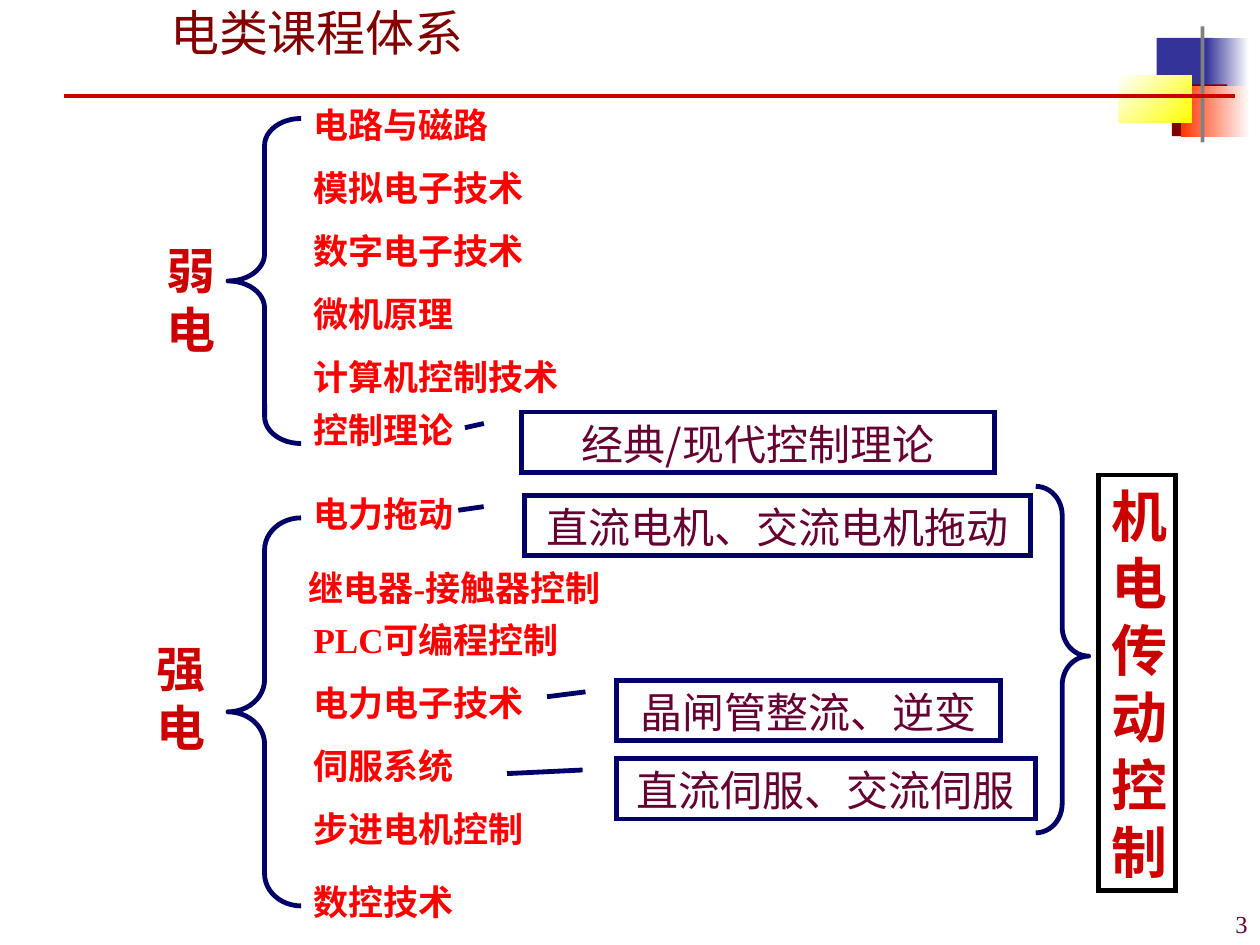
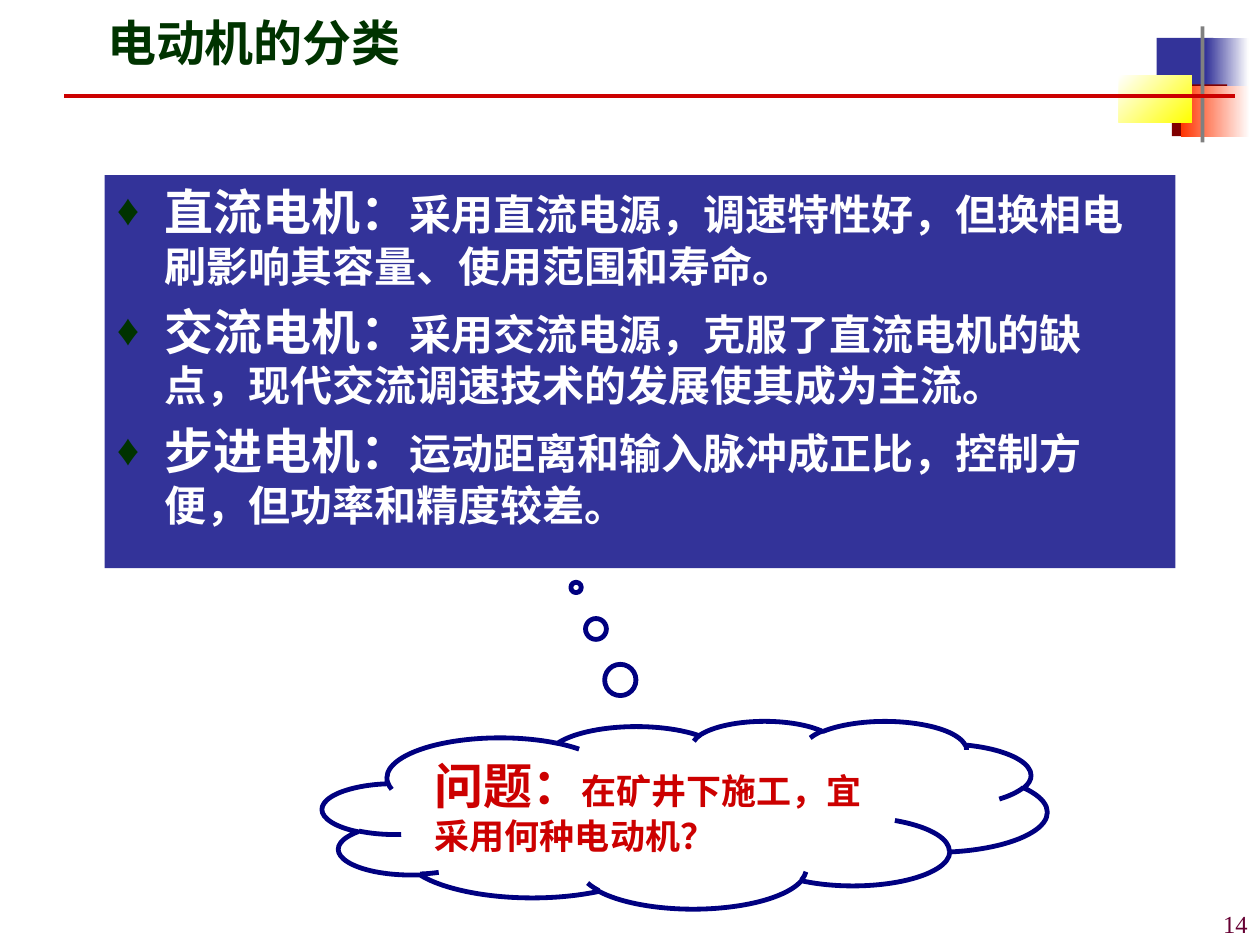
from dataclasses import dataclass
from typing import Any, NamedTuple

from lxml.etree import SubElement
from pptx import Presentation
from pptx.dml.color import RGBColor
from pptx.enum.shapes import MSO_CONNECTOR as Connector, MSO_SHAPE as Preset
from pptx.enum.text import MSO_ANCHOR as Anchor, MSO_AUTO_SIZE as AutoSize, PP_ALIGN as Align
from pptx.oxml.ns import qn
from pptx.util import Inches, Pt


@dataclass(frozen=True)
class Theme:
    latin: str = "Times New Roman"
    asian: str = "Noto Sans CJK SC"
    white: str = "FFFFFF"
    black: str = "000000"
    blue: str = "333399"
    navy: str = "000066"
    cloud: str = "000080"
    maroon: str = "800000"
    orange: str = "FF3300"
    yellow: str = "FFFF00"
    gray: str = "808080"
    crimson: str = "CC0000"
    red: str = "FF0000"
    plum: str = "660033"
    green: str = "003300"
    number_size: int = 14
    course_size: int = 20
    detail_size: int = 24
    head_size: int = 28
    goal_size: int = 32
    outline: float = 2.75
    rule: float = 2.25


THEME = Theme()


class Area(NamedTuple):
    left: float
    top: float
    width: float
    height: float


class Span(NamedTuple):
    text: str
    size: int
    color: str
    bold: bool = False
    latin: str = THEME.latin


class Block(NamedTuple):
    area: Area
    colors: tuple[str, ...]
    angle: int = 0


class CourseRun(NamedTuple):
    top: float
    names: tuple[str, ...]
    left: float = 2.39


class Group(NamedTuple):
    name: str
    area: Area


class Brace(NamedTuple):
    preset: Preset
    area: Area
    curve: float
    middle: float = 0.5


class Callout(NamedTuple):
    text: str
    area: Area
    end_y: float
    end_x: float
    latin: str = THEME.latin


class Motor(NamedTuple):
    name: str
    detail: str


BLOCKS = (
    Block(Area(9.18, 0.3, 0.45, 0.41), (THEME.blue,)),
    Block(Area(9.57, 0.3, 0.34, 0.41), (THEME.blue, THEME.white)),
    Block(Area(9.3, 0.67, 0.44, 0.41), (THEME.maroon,)),
    Block(Area(9.37, 0.68, 0.55, 0.41), (THEME.orange, THEME.white)),
    Block(Area(8.88, 0.6, 0.58, 0.37), (THEME.white, THEME.yellow), 315),
    Block(Area(9.53, 0.21, 0.03, 0.92), (THEME.gray,)),
)
COURSE_STEP = 0.5
COURSE_RUNS = (
    CourseRun(0.77, ("电路与磁路", "模拟电子技术", "数字电子技术", "微机原理", "计算机控制技术")),
    CourseRun(3.19, ("控制理论",)),
    CourseRun(3.86, ("电力拖动",)),
    CourseRun(4.45, ("继电器-接触器控制",), 2.35),
    CourseRun(4.86, ("PLC可编程控制", "电力电子技术", "伺服系统", "步进电机控制")),
    CourseRun(6.94, ("数控技术",)),
)
GROUPS = (
    Group("弱电", Area(1.22, 1.86, 0.58, 1.04)),
    Group("强电", Area(1.14, 5.02, 0.58, 1.04)),
)
BRACES = (
    Brace(Preset.LEFT_BRACE, Area(1.81, 0.94, 0.58, 2.58), 0.37),
    Brace(Preset.LEFT_BRACE, Area(1.81, 4.11, 0.58, 3.08), 0.44),
    Brace(Preset.RIGHT_BRACE, Area(8.22, 3.86, 0.42, 2.75), 0.55, 0.49),
)
CALLOUTS = (
    Callout("晶闸管整流、逆变", Area(4.89, 5.4, 3.05, 0.48), 0.27, -0.18),
    Callout("直流伺服、交流伺服", Area(4.89, 6.02, 3.33, 0.48), 0.25, -0.26),
    Callout("直流电机、交流电机拖动", Area(4.16, 3.93, 4.02, 0.48), 0.25, -0.13),
    Callout("经典/现代控制理论", Area(4.14, 3.27, 3.75, 0.48), 0.26, -0.12, THEME.asian),
)
MOTORS = (
    Motor("直流电机：", "采用直流电源，调速特性好，但换相电刷影响其容量、使用范围和寿命。"),
    Motor("交流电机：", "采用交流电源，克服了直流电机的缺点，现代交流调速技术的发展使其成为主流。"),
    Motor("步进电机：", "运动距离和输入脉冲成正比，控制方便，但功率和精度较差。"),
)


def assign(target: Any, values: dict[str, Any]) -> None:
    for name, value in values.items():
        setattr(target, name, value)


def lengths(area: Area) -> tuple:
    return tuple(Inches(value) for value in area)


def write(para: Any, spans: tuple[Span, ...], **layout: Any) -> None:
    assign(para, layout)
    para._p.get_or_add_pPr().set("hangingPunct", "0")
    for span in spans:
        run = para.add_run()
        run.text = span.text
        assign(run.font, {"size": Pt(span.size), "bold": span.bold, "name": span.latin})
        run.font.color.rgb = RGBColor.from_string(span.color)
        properties = run.font._element
        properties.set("lang", "zh-CN")
        SubElement(properties, qn("a:ea")).set("typeface", THEME.asian)


def prepare(shape: Any, anchor: Anchor = Anchor.TOP) -> Any:
    frame = shape.text_frame
    assign(frame, {"word_wrap": True, "auto_size": AutoSize.NONE, "vertical_anchor": anchor})
    return frame.paragraphs[0]


def add_text(page: Any, area: Area, span: Span, anchor: Anchor = Anchor.TOP, **layout: Any) -> None:
    box = page.shapes.add_textbox(*lengths(area))
    write(prepare(box, anchor), (span,), **layout)


def add_preset(page: Any, preset: Preset, area: Area, fill: str | None = None,
               line: str | None = None, adjustments: tuple[float, ...] = ()) -> Any:
    shape = page.shapes.add_shape(preset, *lengths(area))
    shape.shadow.inherit = False
    for index, value in enumerate(adjustments):
        shape.adjustments[index] = value
    if fill:
        shape.fill.solid()
        shape.fill.fore_color.rgb = RGBColor.from_string(fill)
    else:
        shape.fill.background()
    if line:
        shape.line.color.rgb = RGBColor.from_string(line)
        shape.line.width = Pt(THEME.outline)
        if preset in (Preset.RECTANGLE, Preset.LINE_CALLOUT_1):
            SubElement(shape.line._get_or_add_ln(), qn("a:miter")).set("lim", "800000")
    else:
        shape.line.fill.background()
    return shape


def add_block(page: Any, block: Block) -> None:
    shape = add_preset(page, Preset.RECTANGLE, block.area, block.colors[0])
    if len(block.colors) > 1:
        shape.fill.gradient()
        shape.fill.gradient_angle = block.angle
        for index, (stop, color) in enumerate(zip(shape.fill.gradient_stops, block.colors)):
            stop.position = float(index)
            stop.color.rgb = RGBColor.from_string(color)


def add_page(deck: Any, title: Span, title_area: Area, number: int) -> Any:
    page = deck.slides.add_slide(deck.slide_layouts[5])
    for block in BLOCKS:
        add_block(page, block)
    rule = page.shapes.add_connector(
        Connector.STRAIGHT, Inches(0.51), Inches(0.76), Inches(9.8), Inches(0.76))
    rule.line.color.rgb = RGBColor.from_string(THEME.crimson)
    rule.line.width = Pt(THEME.rule)
    SubElement(rule._element.spPr, qn("a:effectLst"))
    heading = page.shapes.title
    assign(heading, dict(zip(Area._fields, lengths(title_area))))
    write(prepare(heading, Anchor.MIDDLE), (title,), alignment=Align.LEFT)
    add_text(page, Area(7.92, 7, 2.08, 0.5), Span(str(number), THEME.number_size, THEME.plum),
             Anchor.BOTTOM, alignment=Align.RIGHT)
    return page


def add_callout(page: Any, callout: Callout) -> None:
    box = add_preset(page, Preset.LINE_CALLOUT_1, callout.area, THEME.white, THEME.navy,
                     (0.19, -0.08, callout.end_y, callout.end_x))
    write(prepare(box), (Span(callout.text, THEME.detail_size, THEME.plum, latin=callout.latin),),
          alignment=Align.CENTER)


def add_bullet(para: Any) -> None:
    properties = para._p.get_or_add_pPr()
    properties.set("marL", str(Inches(0.38)))
    properties.set("indent", str(-Inches(0.38)))
    color = SubElement(properties, qn("a:buClr"))
    SubElement(color, qn("a:srgbClr")).set("val", THEME.green)
    SubElement(properties, qn("a:buSzPct")).set("val", "90000")
    SubElement(properties, qn("a:buFont")).set("typeface", THEME.latin)
    SubElement(properties, qn("a:buChar")).set("char", "♦")


def build_courses(deck: Any) -> None:
    page = add_page(deck, Span("电类课程体系", THEME.head_size, THEME.maroon),
                    Area(1.25, 0, 3, 0.5), 3)
    for course_run in COURSE_RUNS:
        for index, name in enumerate(course_run.names):
            area = Area(course_run.left, course_run.top + index * COURSE_STEP, 3.17, 0.44)
            add_text(page, area, Span(name, THEME.course_size, THEME.red, True))
    for group in GROUPS:
        add_text(page, group.area, Span(group.name, THEME.head_size, THEME.crimson, True))
    for brace in BRACES:
        add_preset(page, brace.preset, brace.area, line=THEME.navy,
                   adjustments=(brace.curve, brace.middle))
    for callout in CALLOUTS:
        add_callout(page, callout)
    goal = add_preset(page, Preset.RECTANGLE, Area(8.72, 3.77, 0.61, 3.3), line=THEME.black)
    write(prepare(goal), (Span("机电传动控制", THEME.goal_size, THEME.crimson, True),),
          alignment=Align.LEFT)


def build_motors(deck: Any) -> None:
    page = add_page(deck, Span("电动机的分类", THEME.head_size, THEME.green, True),
                    Area(0.75, 0, 8.5, 0.67), 14)
    panel = add_preset(page, Preset.RECTANGLE, Area(0.83, 1.39, 8.5, 3.12), THEME.blue)
    first = prepare(panel)
    for index, motor in enumerate(MOTORS):
        para = panel.text_frame.add_paragraph() if index else first
        spans = (Span(motor.name, THEME.head_size, THEME.white, True),
                 Span(motor.detail, THEME.detail_size, THEME.white, True))
        write(para, spans, alignment=Align.LEFT, space_before=Pt(6))
        add_bullet(para)
    cloud = add_preset(page, Preset.CLOUD_CALLOUT, Area(2.56, 5.72, 5.75, 1.49),
                       line=THEME.cloud, adjustments=(-0.15, -1.21))
    question = (Span("问题：", THEME.head_size, THEME.crimson, True),
                Span("在矿井下施工，宜采用何种电动机？", THEME.course_size, THEME.crimson, True))
    write(prepare(cloud), question, alignment=Align.LEFT)


def main() -> None:
    deck = Presentation()
    assign(deck, {"slide_width": Inches(10), "slide_height": Inches(7.5)})
    build_courses(deck)
    build_motors(deck)
    deck.save("out.pptx")


if __name__ == "__main__":
    main()
